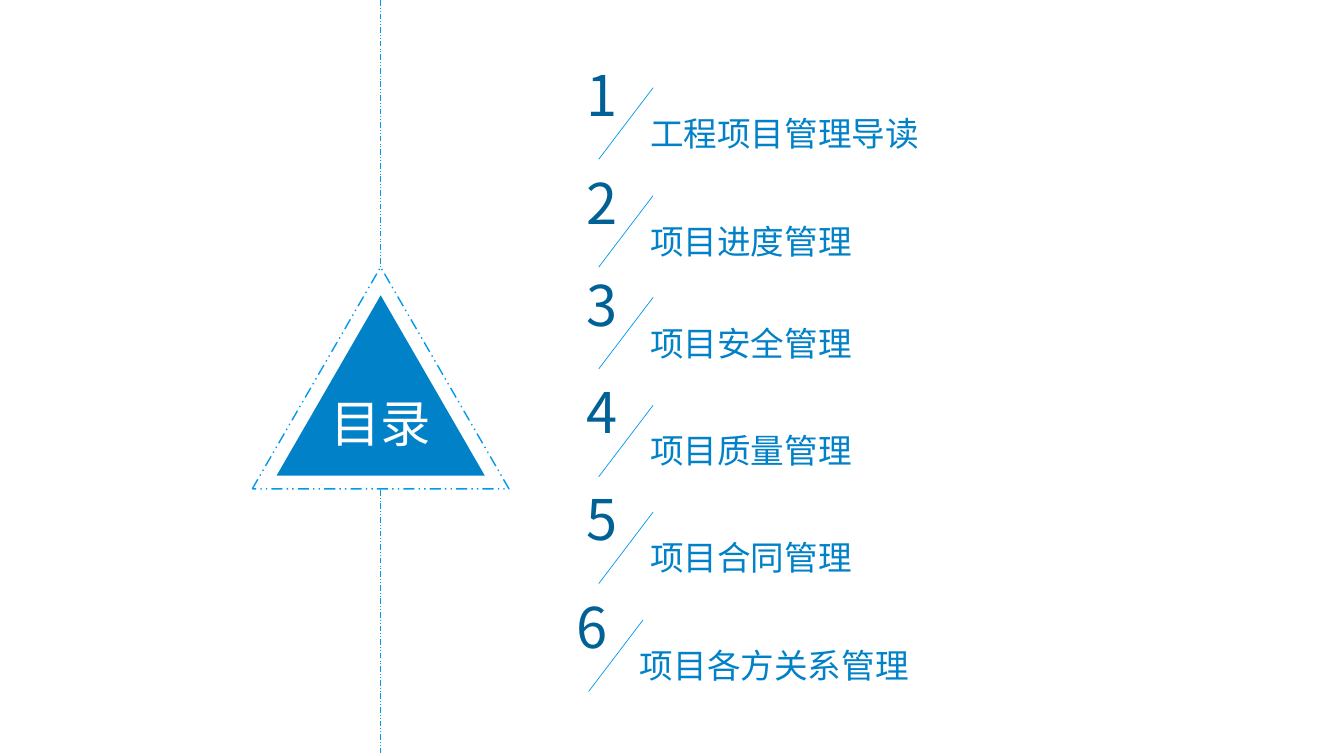
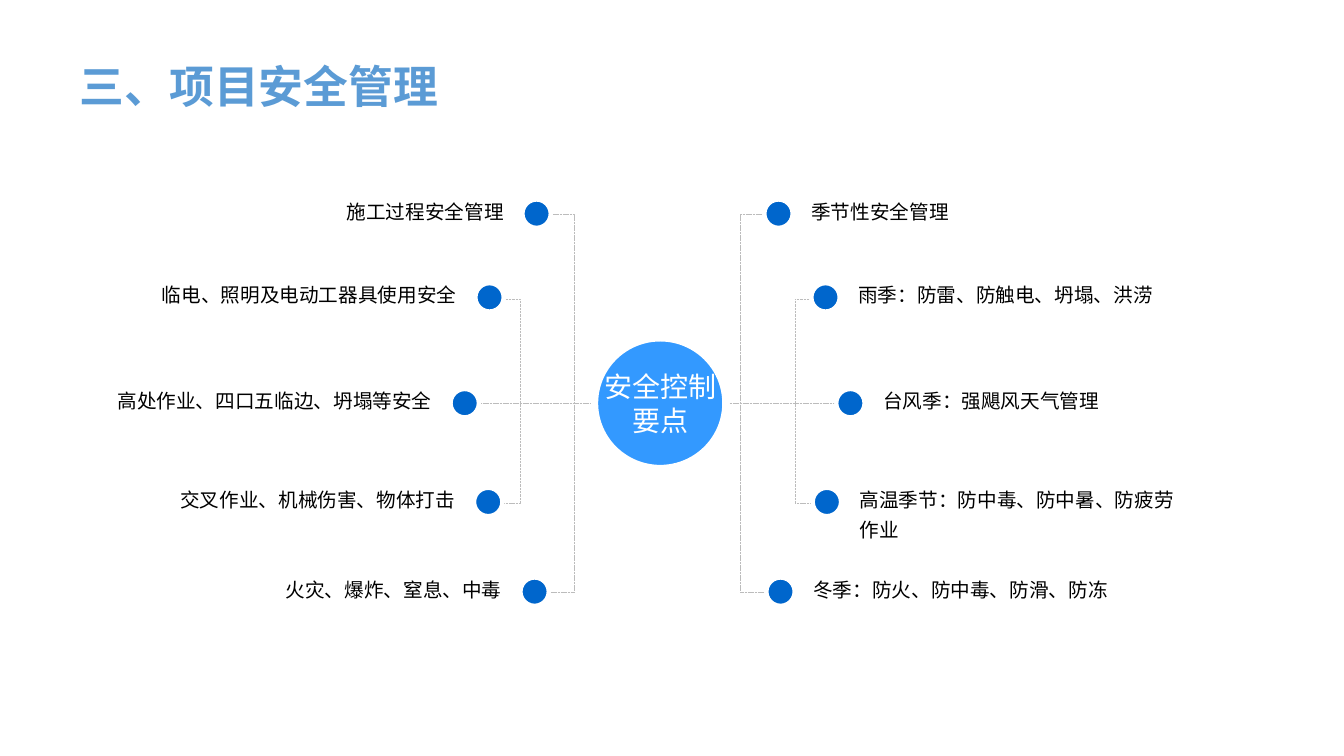
from lxml import etree
from pptx import Presentation
from pptx.dml.color import RGBColor
from pptx.enum.dml import MSO_LINE
from pptx.enum.shapes import MSO_CONNECTOR, MSO_SHAPE
from pptx.enum.text import MSO_ANCHOR, PP_ALIGN
from pptx.oxml.ns import qn
from pptx.util import Inches, Pt

STRAIGHT, ELBOW = MSO_CONNECTOR.STRAIGHT, MSO_CONNECTOR.ELBOW
TRIANGLE, OVAL = MSO_SHAPE.ISOSCELES_TRIANGLE, MSO_SHAPE.OVAL
TOP, MIDDLE = MSO_ANCHOR.TOP, MSO_ANCHOR.MIDDLE
LEFT, CENTER, RIGHT = PP_ALIGN.LEFT, PP_ALIGN.CENTER, PP_ALIGN.RIGHT
DASH_DOT, FINE_DASH = MSO_LINE.DASH_DOT_DOT, MSO_LINE.SQUARE_DOT

WIDTH, HEIGHT = Inches(13.333), Inches(7.5)
COLUMNS = 40
FONT = "Noto Sans CJK SC"
WHITE, BLACK, GREY = "FFFFFF", "000000", "BCBCBC"
BLUE, BRIGHT, NAVY = "0081C8", "0099EE", "006196"
HUB_BLUE, DOT_BLUE, TITLE_BLUE = "3399FF", "0066CC", "5B9BD5"
TITLE_ONLY, BLANK = 5, 6

CONTENTS = [
    ("工程项目管理导读", 17.16, 1.65),
    ("项目进度管理", 17.16, 4.86),
    ("项目安全管理", 17.16, 7.89),
    ("项目质量管理", 17.16, 11.1),
    ("项目合同管理", 17.16, 14.28),
    ("项目各方关系管理", 16.86, 17.49),
]
SAFETY_ROWS = [
    (3.6, 6.36, "施工过程安全管理", "季节性安全管理"),
    (5, 8.85, "临电、照明及电动工器具使用安全", "雨季：防雷、防触电、坍塌、洪涝"),
    (5.74, 12, "高处作业、四口五临边、坍塌等安全", "台风季：强飓风天气管理"),
    (5.04, 14.94, "交叉作业、机械伤害、物体打击", "高温季节：防中毒、防中暑、防疲劳作业"),
    (3.66, 17.61, "火灾、爆炸、窒息、中毒", "冬季：防火、防中毒、防滑、防冻"),
]
BRACKETS = [(3.42, 2.46, 6.36, 17.61), (4.77, 4.08, 8.91, 14.97)]


def rgb(value):
    return RGBColor.from_string(value)


def grid(*cells):
    return [int(n * WIDTH / COLUMNS) for n in cells]


def write(sp, text, size, color, align=LEFT, anchor=TOP, bold=False, wrap=True):
    tf = sp.text_frame
    tf.word_wrap = wrap
    tf.vertical_anchor = anchor
    tf.text = text
    for p in tf.paragraphs:
        p.alignment = align
        p.font.size = Pt(size)
        p.font.bold = bold
        p.font.name = FONT
        p.font.color.rgb = rgb(color)
        for r in p.runs:
            etree.SubElement(r._r.get_or_add_rPr(), qn("a:ea"), typeface=FONT)
    return tf


def add_text(s, box, text, size, color, align=LEFT):
    return write(s.shapes.add_textbox(*grid(*box)), text, size, color, align)


def style_line(line, color, width, dash=None):
    line.color.rgb = rgb(color)
    line.width = Pt(width)
    if dash:
        line.dash_style = dash


def add_shape(s, kind, box, fill=None, line=None):
    sp = s.shapes.add_shape(kind, *grid(*box))
    sp.shadow.inherit = False
    if fill:
        sp.fill.solid()
        sp.fill.fore_color.rgb = rgb(fill)
    else:
        sp.fill.background()
    if line:
        style_line(sp.line, *line)
    else:
        sp.line.fill.background()
    return sp


def add_line(s, ends, color, width, dash=None, kind=STRAIGHT):
    cxn = s.shapes.add_connector(kind, *grid(*ends))
    style_line(cxn.line, color, width, dash)
    etree.SubElement(cxn._element.spPr, qn("a:effectLst"))
    return cxn


def add_bracket(s, x, spine, top, bottom):
    run = 0.05
    cxn = add_line(s, (x, top, x + run, bottom), GREY, 0.25, FINE_DASH, ELBOW)
    guides = cxn._element.spPr.find(qn("a:prstGeom")).get_or_add_avLst()
    bend = round((spine - x) / run * 100000)
    etree.SubElement(guides, qn("a:gd"), name="adj1", fmla=f"val {bend}")


def add_content_item(s, number, text, x, y):
    add_text(s, (x + 1.89, y + 1.56, 13.92, 1.5), text, 24, BLUE)
    add_line(s, (x + 2.28, y + 0.96, x + 0.66, y + 3.09), BRIGHT, 0.5)
    add_text(s, (x, y, 1.26, 2.31), str(number), 40, NAVY)


def add_safety_point(s, x, y, side, text):
    size, gap, width = 0.84, 0.68, 10.41
    add_shape(s, OVAL, (x - size / 2, y - size / 2, size, size),
              DOT_BLUE, (WHITE, 3))
    left = x + gap if side > 0 else x - gap - width
    align = LEFT if side > 0 else RIGHT
    tf = add_text(s, (left, y - 0.78, width, 1.14), text, 14, BLACK, align)
    tf.paragraphs[0].line_spacing = 1.3


def build_contents(prs):
    s = prs.slides.add_slide(prs.slide_layouts[BLANK])
    axis = 11.33
    sp = add_shape(s, TRIANGLE, (axis - 3.1, 8.79, 6.2, 5.37), BLUE)
    tf = write(sp, "目录", 36, WHITE, CENTER, MIDDLE)
    tf.margin_left = tf.margin_right = tf.margin_top = 0
    tf.margin_bottom = grid(0.48)[0]
    add_shape(s, TRIANGLE, (axis - 3.82, 7.95, 7.64, 6.6),
              line=(BRIGHT, 1, DASH_DOT))
    for top, bottom in [(0, 7.95), (14.58, 22.5)]:
        add_line(s, (axis, top, axis, bottom), BRIGHT, 0.5, DASH_DOT)
    for number, item in enumerate(CONTENTS, 1):
        add_content_item(s, number, *item)


def build_safety(prs):
    s = prs.slides.add_slide(prs.slide_layouts[TITLE_ONLY])
    title = s.shapes.title
    title.left, title.top, title.width, title.height = grid(2.07, 1.59, 14.76, 1.92)
    write(title, "三、项目安全管理", 32, TITLE_BLUE, bold=True)

    axis, middle = 19.57, 12
    add_line(s, (13.98, middle, 25.38, middle), GREY, 0.25, FINE_DASH)
    hub = add_shape(s, OVAL, (17.7, middle - 1.94, 3.9, 3.88),
                    HUB_BLUE, (WHITE, 5))
    write(hub, "安全控制\n要点", 20, WHITE, CENTER, MIDDLE, wrap=False)
    for side in (1, -1):
        for start, spine, top, bottom in BRACKETS:
            add_bracket(s, axis + side * start, axis + side * spine, top, bottom)
        for offset, y, left_text, right_text in SAFETY_ROWS:
            text = right_text if side > 0 else left_text
            add_safety_point(s, axis + side * offset, y, side, text)


def main():
    prs = Presentation()
    prs.slide_width, prs.slide_height = WIDTH, HEIGHT
    build_contents(prs)
    build_safety(prs)
    prs.save("out.pptx")


if __name__ == "__main__":
    main()
